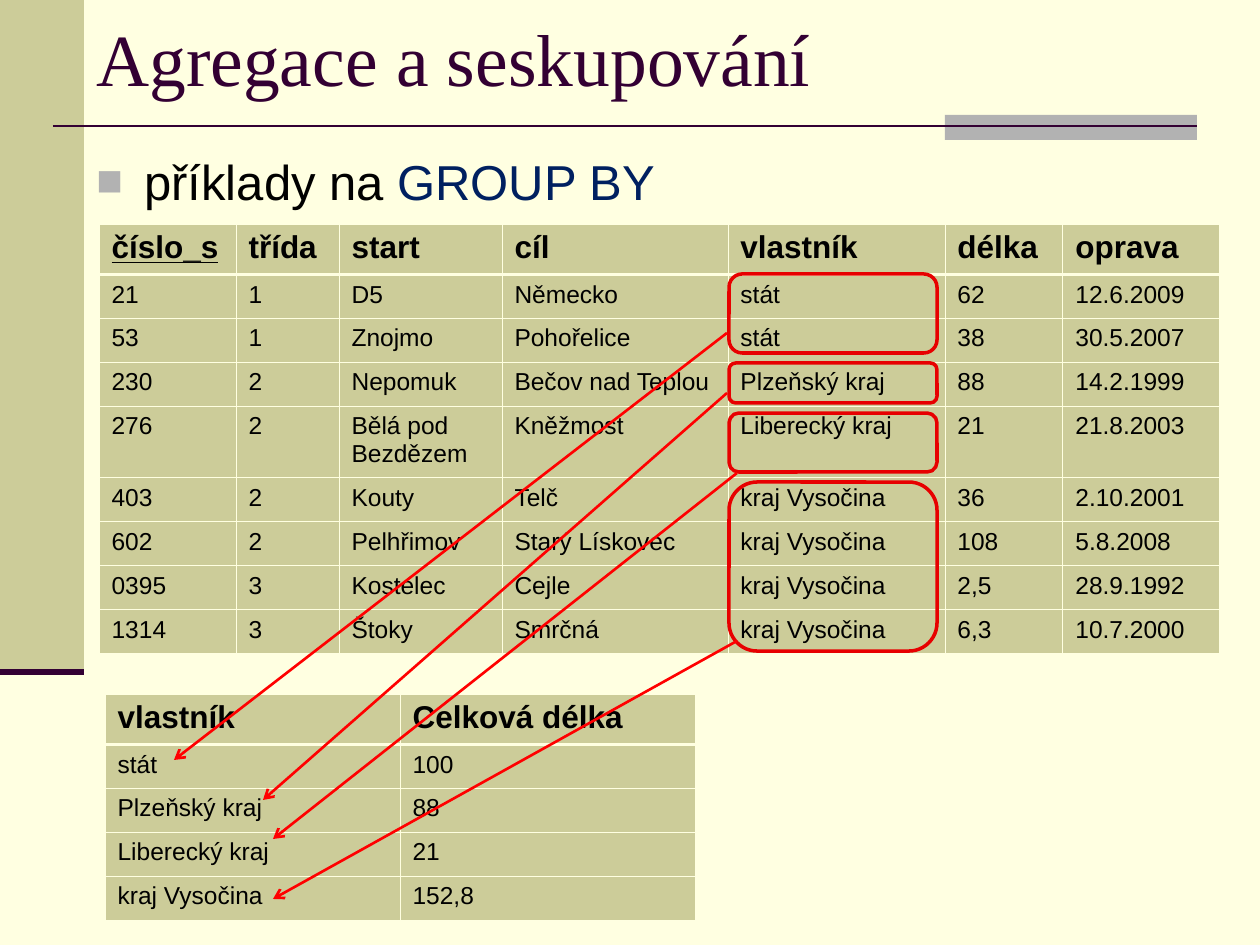
from dataclasses import dataclass

from lxml import etree
from pptx import Presentation
from pptx import util as u
from pptx.dml.color import RGBColor
from pptx.enum import shapes, text
from pptx.oxml import ns

PX = u.Inches(1) / 126


def px(length):
    """Turn px into EMU."""
    return u.Emu(round(length * PX))


@dataclass(frozen=True)
class Theme:
    """Colours, fonts and type sizes."""
    paper: str = "FFFFE1"
    khaki: str = "CCCC99"
    grey: str = "B2B2B2"
    plum: str = "330033"
    ink: str = "000000"
    keyword: str = "002060"
    frame: str = "E70000"
    arrow: str = "FF0000"
    title_font: str = "Times New Roman"
    body_font: str = "Arial"
    title_size: int = 42
    body_size: int = 28
    head_size: int = 18
    cell_size: int = 14
    thin: float = 0.45
    thick: float = 1.47


class Deck:
    """Holds the theme and the current slide."""

    def __init__(self, theme, width, height):
        """Open a presentation with one blank slide."""
        self.theme = theme
        self.presentation = Presentation()
        self.presentation.slide_width = px(width)
        self.presentation.slide_height = px(height)
        self.slide = self.presentation.slides.add_slide(self.presentation.slide_layouts[6])
        fill = self.slide.background.fill
        fill.solid()
        fill.fore_color.rgb = RGBColor.from_string(theme.paper)

    def element(self, parent, tag, **attributes):
        """Add a drawing element under parent."""
        return etree.SubElement(parent, ns.qn(tag), attributes)

    def run(self, paragraph, words, size, color, font=None, bold=False, underline=False):
        """Add one styled run."""
        run = paragraph.add_run()
        run.text = words
        run.font.name = font or self.theme.body_font
        run.font.size = u.Pt(size)
        run.font.bold = bold
        run.font.underline = underline
        run.font.color.rgb = RGBColor.from_string(color)

    def shape(self, kind, box, fill=None, line=None, weight=2):
        """Add a preset shape with a fill, an outline or both."""
        shape = self.slide.shapes.add_shape(kind, *map(px, box))
        shape.shadow.inherit = False
        if fill:
            shape.fill.solid()
            shape.fill.fore_color.rgb = RGBColor.from_string(fill)
        else:
            shape.fill.background()
        if line:
            shape.line.color.rgb = RGBColor.from_string(line)
            shape.line.width = u.Pt(weight)
        else:
            shape.line.fill.background()
        return shape

    def line(self, start, end, color, weight, arrow=False):
        """Add a straight line, with an arrowhead at its end if asked."""
        line = self.slide.shapes.add_connector(
            shapes.MSO_CONNECTOR.STRAIGHT, *map(px, (*start, *end)))
        line.line.color.rgb = RGBColor.from_string(color)
        line.line.width = u.Pt(weight)
        if arrow:
            self.element(line.line._get_or_add_ln(), "a:tailEnd", type="arrow")
        self.element(line._element.spPr, "a:effectLst")

    def text_box(self, box, anchor=text.MSO_ANCHOR.TOP):
        """Add a wrapping text box and return its first paragraph."""
        frame = self.slide.shapes.add_textbox(*map(px, box)).text_frame
        frame.word_wrap = True
        frame.vertical_anchor = anchor
        return frame.paragraphs[0]

    def title(self, box, words):
        """Add the slide title."""
        paragraph = self.text_box(box, text.MSO_ANCHOR.MIDDLE)
        self.run(paragraph, words, self.theme.title_size, self.theme.plum, self.theme.title_font)

    def bullet(self, box, runs, indent):
        """Add a square-bulleted line of (words, colour) runs."""
        paragraph = self.text_box(box)
        paragraph.space_before = u.Pt(7)
        properties = paragraph._p.get_or_add_pPr()
        properties.set("marL", str(px(indent)))
        properties.set("indent", str(px(-indent)))
        color = self.element(properties, "a:buClr")
        self.element(color, "a:srgbClr", val=self.theme.grey)
        self.element(properties, "a:buSzPct", val="90000")
        self.element(properties, "a:buFont", typeface=self.theme.body_font)
        self.element(properties, "a:buChar", char="■")
        for words, color in runs:
            self.run(paragraph, words, self.theme.body_size, color)

    def cell(self, cell, words, row, underline):
        """Fill, border and letter one table cell."""
        theme = self.theme
        properties = cell._tc.get_or_add_tcPr()
        heavy = {0: "a:lnB", 1: "a:lnT"}.get(row)
        for side in ("a:lnL", "a:lnR", "a:lnT", "a:lnB"):
            weight = theme.thick if side == heavy else theme.thin
            border = self.element(properties, side, w=str(u.Pt(weight)))
            fill = self.element(border, "a:solidFill")
            self.element(fill, "a:srgbClr", val=theme.paper)
        cell.fill.solid()
        cell.fill.fore_color.rgb = RGBColor.from_string(theme.khaki)
        size = theme.cell_size if row else theme.head_size
        self.run(cell.text_frame.paragraphs[0], words, size, theme.ink,
                 bold=row == 0, underline=underline)

    def table(self, left, top, widths, heights, rows, key=None):
        """Add a table whose first row is the heading; key is underlined."""
        table = self.slide.shapes.add_table(
            len(rows), len(widths), px(left), px(top),
            px(sum(widths)), px(sum(heights))).table
        table.first_row = table.horz_banding = False
        for column, width in zip(table.columns, widths):
            column.width = px(width)
        for index, (row, height) in enumerate(zip(rows, heights)):
            table.rows[index].height = px(height)
            for column, words in enumerate(row):
                self.cell(table.cell(index, column), words, index, words == key)


ROADS = [
    ("číslo_s", "třída", "start", "cíl", "vlastník", "délka", "oprava"),
    ("21", "1", "D5", "Německo", "stát", "62", "12.6.2009"),
    ("53", "1", "Znojmo", "Pohořelice", "stát", "38", "30.5.2007"),
    ("230", "2", "Nepomuk", "Bečov nad Teplou", "Plzeňský kraj", "88", "14.2.1999"),
    ("276", "2", "Bělá pod Bezdězem", "Kněžmost", "Liberecký kraj", "21", "21.8.2003"),
    ("403", "2", "Kouty", "Telč", "kraj Vysočina", "36", "2.10.2001"),
    ("602", "2", "Pelhřimov", "Starý Lískovec", "kraj Vysočina", "108", "5.8.2008"),
    ("0395", "3", "Kostelec", "Cejle", "kraj Vysočina", "2,5", "28.9.1992"),
    ("1314", "3", "Štoky", "Smrčná", "kraj Vysočina", "6,3", "10.7.2000"),
]
TOTALS = [
    ("vlastník", "Celková délka"),
    ("stát", "100"),
    ("Plzeňský kraj", "88"),
    ("Liberecký kraj", "21"),
    ("kraj Vysočina", "152,8"),
]
GROUPS = [
    (274, 79, (727, 333), (174, 760)),
    (363, 40, (727, 393), (263, 800)),
    (413, 59, (737, 473), (273, 839)),
    (482, 169, (737, 641), (273, 899)),
]


def main():
    """Build the slide and save it."""
    theme = Theme()
    deck = Deck(theme, 1260, 945)
    rectangle = shapes.MSO_SHAPE.RECTANGLE
    deck.shape(rectangle, (0, 0, 84, 672), fill=theme.khaki)
    deck.shape(rectangle, (945, 115, 252, 25), fill=theme.grey)
    deck.line((53, 126), (1197, 126), theme.plum, 1.5)
    deck.line((0, 672), (84, 672), theme.plum, 3.5)
    deck.title((84, 0, 1176, 115), "Agregace a seskupování")
    deck.bullet((84, 145, 1176, 800),
                [("příklady na ", theme.ink), ("GROUP BY", theme.keyword)], 48)
    deck.table(105, 694, [295] * 2, [50] + [44] * 4, TOTALS)
    deck.table(99, 224, [137, 103, 163, 226, 217, 118, 157],
               [50] + [44] * 3 + [71] + [44] * 4, ROADS, key="číslo_s")
    for top, height, _, _ in GROUPS:
        deck.shape(shapes.MSO_SHAPE.ROUNDED_RECTANGLE, (729, top, 208, height), line=theme.frame)
    for _, _, start, end in GROUPS:
        deck.line(start, end, theme.arrow, 1.5, arrow=True)
    deck.presentation.save("out.pptx")


if __name__ == "__main__":
    main()
